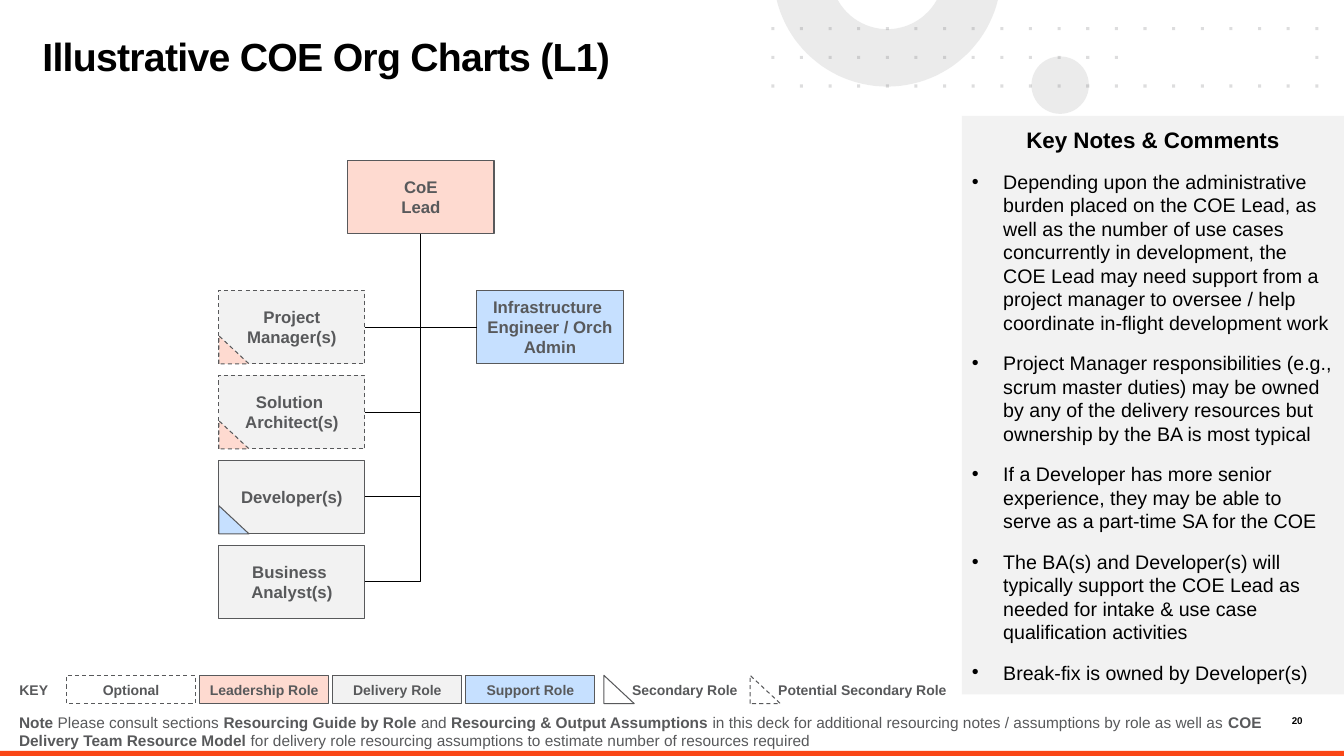
import math

from lxml import etree
from pptx import Presentation
from pptx import util as u
from pptx.dml.color import RGBColor
from pptx.enum import dml, shapes, text
from pptx.oxml import ns

SLIDE_W, SLIDE_H = 13.33, 7.5
INK, GREY, WHITE = "000000", "58595B", "FFFFFF"
LEADERSHIP, DELIVERY, SUPPORT = "FEDAD0", "F2F2F2", "C6E0FF"
DECOR = "D9D9D9"

# Org chart grid and key row
BOX_W, BOX_H = 1.45, 0.73
TEAM_X, TEAM_Y, TEAM_PITCH = 2.17, 2.88, 0.843
COLUMN_PITCH = 1.28
CORNER_W, CORNER_H = 0.3, 0.28
KEY_X, KEY_Y, KEY_W, KEY_PITCH = 0.66, 6.7, 1.28, 1.32

TEAM = [
    (["Project Manager(s)"], True, LEADERSHIP),
    (["Solution ", "Architect(s)"], True, LEADERSHIP),
    (["Developer(s)"], False, SUPPORT),
    (["Business ", "Analyst(s)"], False, None),
]
KEY_ROLES = [
    ("Optional", WHITE, True),
    ("Leadership Role", LEADERSHIP, False),
    ("Delivery Role", DELIVERY, False),
    ("Support Role", SUPPORT, False),
]
NOTES = [
    "Depending upon the administrative burden placed on the COE Lead, as well as the number of "
    "use cases concurrently in development, the COE Lead may need support from a project manager "
    "to oversee / help coordinate in-flight development work",
    "Project Manager responsibilities (e.g., scrum master duties) may be owned by any of the "
    "delivery resources but ownership by the BA is most typical",
    "If a Developer has more senior experience, they may be able to serve as a part-time SA for the COE",
    "The BA(s) and Developer(s) will typically support the COE Lead as needed for intake & use case "
    "qualification activities",
    "Break-fix is owned by Developer(s)",
]
FOOTNOTE = [
    ("Note ", True),
    ("Please consult sections ", False),
    ("Resourcing Guide by Role ", True),
    ("and ", False),
    ("Resourcing & Output Assumptions", True),
    (" in this deck for additional resourcing notes / assumptions by role as well as ", False),
    ("COE Delivery Team Resource Model ", True),
    ("for delivery role resourcing assumptions to estimate number of resources required", False),
]


def rgb(code):
    return RGBColor.from_string(code)


def inches(*lengths):
    return [u.Inches(length) for length in lengths]


def paint(shape, fill, line=None, dashed=False, alpha=None):
    shape.shadow.inherit = False
    shape.fill.solid()
    shape.fill.fore_color.rgb = rgb(fill)
    if alpha:
        color = next(shape.element.spPr.iter(ns.qn("a:srgbClr")))
        etree.SubElement(color, ns.qn("a:alpha")).set("val", str(alpha * 1000))
    if line is None:
        shape.line.fill.background()
        return
    shape.line.color.rgb = rgb(line)
    shape.line.width = u.Pt(0.75)
    if dashed:
        shape.line.dash_style = dml.MSO_LINE.DASH


def frame(shape, anchor="MIDDLE", inset=0.1, inset_y=None):
    area = shape.text_frame
    area.word_wrap = True
    area.auto_size = text.MSO_AUTO_SIZE.NONE
    area.vertical_anchor = text.MSO_ANCHOR[anchor]
    area.margin_left = area.margin_right = u.Inches(inset)
    area.margin_top = area.margin_bottom = u.Inches(inset if inset_y is None else inset_y)
    return area


def write(paragraph, content, size=12, color=GREY, bold=True, align="CENTER", after=0,
          bullet=None, leading=None, tracking=None):
    """Fill one paragraph; content is a string or a list of (words, bold) pairs."""
    props = paragraph._p.get_or_add_pPr()
    indent = u.Inches(0.31) if bullet else 0
    props.set("marL", str(indent))
    props.set("indent", str(-indent))
    if bullet:
        bullet_color = etree.SubElement(props, ns.qn("a:buClr"))
        etree.SubElement(bullet_color, ns.qn("a:srgbClr")).set("val", color)
        etree.SubElement(props, ns.qn("a:buChar")).set("char", bullet)
    else:
        etree.SubElement(props, ns.qn("a:buNone"))
    paragraph.alignment = text.PP_ALIGN[align]
    paragraph.space_before, paragraph.space_after = u.Pt(0), u.Pt(after)
    if leading:
        paragraph.line_spacing = leading
    for words, strong in [(content, bold)] if isinstance(content, str) else content:
        run = paragraph.add_run()
        run.text = words
        run.font.name, run.font.size, run.font.bold = "Arial", u.Pt(size), strong
        run.font.color.rgb = rgb(color)
        if tracking:
            run.font._element.set("spc", str(round(tracking * 100)))


def write_lines(area, lines, **style):
    for i, line in enumerate(lines):
        write(area.add_paragraph() if i else area.paragraphs[0], line, **style)


def block(slide, x, y, w, h, fill, line=None, dashed=False, kind="RECTANGLE", alpha=None):
    shape = slide.shapes.add_shape(shapes.MSO_SHAPE[kind], *inches(x, y, w, h))
    paint(shape, fill, line, dashed, alpha)
    return shape


def role_box(slide, x, y, lines, fill, dashed=False, w=BOX_W, h=BOX_H, size=12):
    box = block(slide, x, y, w, h, fill, GREY, dashed)
    write_lines(frame(box), lines, size=size)
    return box


def corner(slide, x, y, fill, dashed):
    block(slide, x, y, CORNER_W, CORNER_H, fill, GREY, dashed, "RIGHT_TRIANGLE")


def label(slide, x, y, w, h, words, inset=0.1, inset_y=None, **style):
    box = slide.shapes.add_textbox(*inches(x, y, w, h))
    write(frame(box, inset=inset, inset_y=inset_y).paragraphs[0], words, **style)


def report_line(slide, role, side, lead):
    """Draw one right-angled line from the side of a role up to the lead."""
    link = slide.shapes.add_connector(shapes.MSO_CONNECTOR.ELBOW, 0, 0, 0, 0)
    link.begin_connect(role, side)
    link.end_connect(lead, 2)
    link.element.spPr.find(ns.qn("a:prstGeom")).set("prst", "bentConnector2")
    link.line.color.rgb = rgb(INK)
    link.line.width = u.Pt(0.75)
    etree.SubElement(link.element.spPr, ns.qn("a:effectLst"))


def outline(slide, contours, fill, alpha):
    """Draw closed contours, given in inches, as one shape."""
    contours = [[(x * 1000, y * 1000) for x, y in contour] for contour in contours]
    builder = slide.shapes.build_freeform(*contours[0][0], scale=914.4)
    for i, contour in enumerate(contours):
        if i:
            builder.move_to(*contour[0])
        builder.add_line_segments(contour[1:], close=True)
    paint(builder.convert_to_shape(), fill, alpha=alpha)


def arc(cx, cy, radius, steps=48):
    """Points of the part of a circle that lies below the slide's top edge."""
    start = math.asin(-cy / radius)
    sweep = math.pi - 2 * start
    angles = [start + sweep * i / steps for i in range(steps + 1)]
    return [(cx + radius * math.cos(a), cy + radius * math.sin(a)) for a in angles]


def decoration(slide):
    block(slide, 0, 7.45, SLIDE_W, 0.05, "FA4616")
    block(slide, 10.23, 0.56, 0.57, 0.57, DECOR, kind="OVAL", alpha=50)
    outline(slide, [arc(8.8, -0.27, 1.13) + arc(8.8, -0.27, 0.56)[::-1]], DECOR, 50)
    dot, pitch = 0.03, 0.284
    cells = [(col, row) for row in range(3) for col in range(20)
             if row != 1 or not 13 <= col <= 18]
    corners = [(0, 0), (dot, 0), (dot, dot), (0, dot)]
    outline(slide, [[(7.65 + col * pitch + dx, 0.27 + row * pitch + dy) for dx, dy in corners]
                    for col, row in cells], GREY, 20)
    label(slide, 12.53, 7.08, 0.39, 0.13, "20", inset=0, size=7, color=INK, align="RIGHT")


def org_chart(slide):
    lead = role_box(slide, TEAM_X + COLUMN_PITCH, 1.59, ["CoE", "Lead"], LEADERSHIP)
    engineer = role_box(slide, TEAM_X + 2 * COLUMN_PITCH, TEAM_Y,
                        ["Infrastructure ", "Engineer / Orch Admin"], SUPPORT)
    report_line(slide, engineer, 1, lead)
    for i, (lines, optional, secondary) in enumerate(TEAM):
        y = TEAM_Y + i * TEAM_PITCH
        role = role_box(slide, TEAM_X, y, lines, DELIVERY, optional)
        report_line(slide, role, 3, lead)
        if secondary:
            corner(slide, TEAM_X, y + BOX_H - CORNER_H, secondary, optional)


def key(slide):
    label(slide, 0.07, 6.71, 0.53, 0.27, "KEY", inset_y=0.05, size=10)
    for i, (name, fill, dashed) in enumerate(KEY_ROLES):
        role_box(slide, KEY_X + i * KEY_PITCH, KEY_Y, [name], fill, dashed, KEY_W, CORNER_H, 10)
    for x, w, name, dashed in [(5.99, 1.28, "Secondary Role", False),
                               (7.44, 1.95, "Potential Secondary Role", True)]:
        corner(slide, x, KEY_Y, WHITE, dashed)
        label(slide, x + 0.18, KEY_Y, w, CORNER_H, name, size=10, align="LEFT")


def place(placeholder, x, y, w, h):
    placeholder.left, placeholder.top, placeholder.width, placeholder.height = inches(x, y, w, h)


def main():
    deck = Presentation()
    deck.slide_width, deck.slide_height = inches(SLIDE_W, SLIDE_H)
    slide = deck.slides.add_slide(deck.slide_layouts[1])

    # Title
    title, notes = slide.placeholders
    place(title, 0.42, 0.39, 7.23, 0.75)
    write(frame(title, "TOP", 0).paragraphs[0], "Illustrative COE Org Charts (L1)", size=28,
          color=INK, align="LEFT", leading=0.85, tracking=-0.5)

    # Key notes panel
    place(notes, 9.54, 1.15, 3.79, 5.74)
    notes.fill.solid()
    notes.fill.fore_color.rgb = rgb(DELIVERY)
    area = frame(notes, "TOP")
    write(area.paragraphs[0], "Key Notes & Comments", size=16, color=INK, after=12)
    for note in NOTES:
        write(area.add_paragraph(), note, size=14, color=INK, bold=False, align="LEFT",
              after=12, bullet="•")

    # Footnote, chart, key and background
    footnote = block(slide, 0.09, 7.07, 12.61, 0.37, WHITE)
    write(frame(footnote).paragraphs[0], FOOTNOTE, size=11, align="LEFT")
    decoration(slide)
    org_chart(slide)
    key(slide)
    deck.save("out.pptx")


if __name__ == "__main__":
    main()
